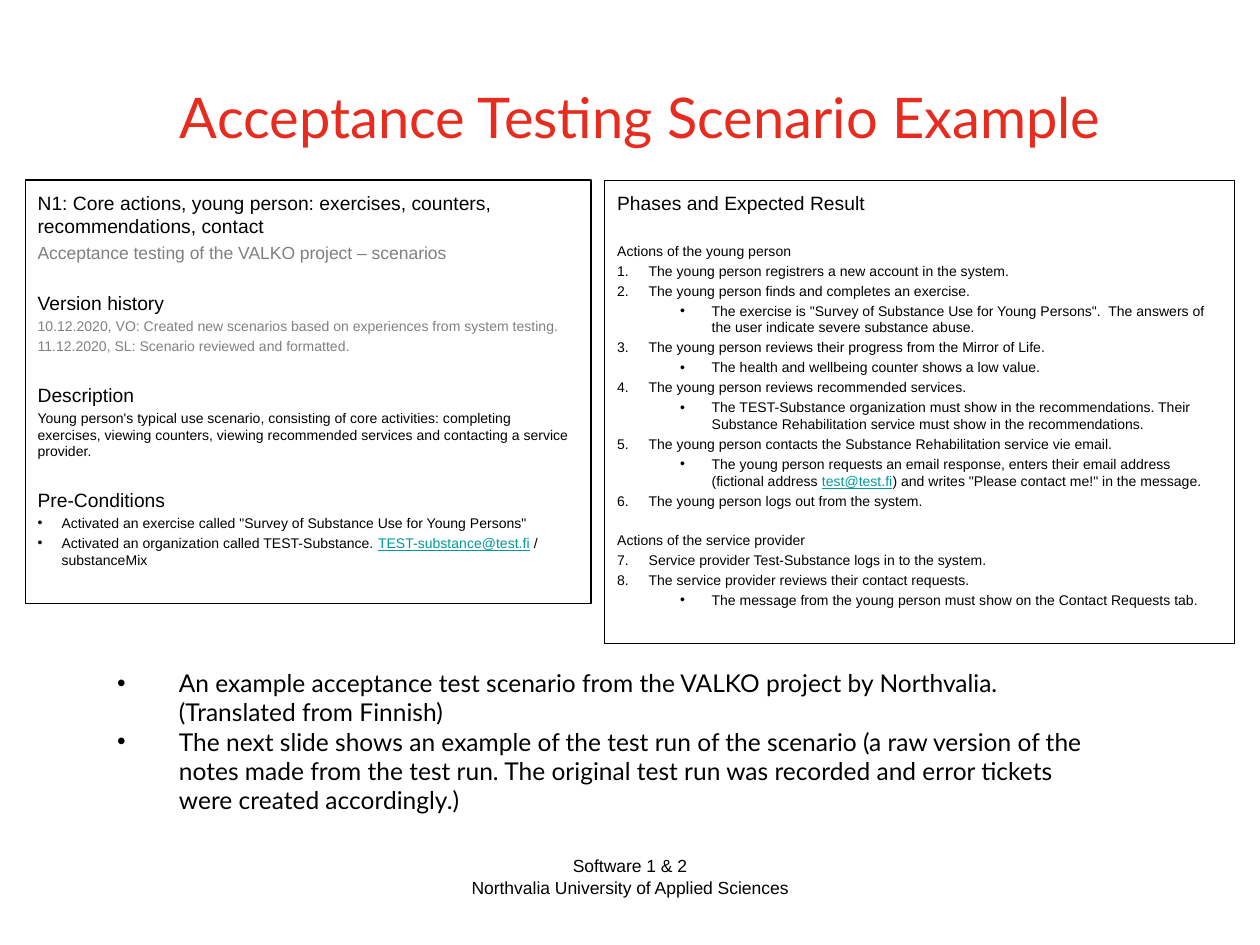
import dataclasses
import typing

import pptx
import pptx.dml.color
import pptx.enum.shapes
import pptx.enum.text
import pptx.oxml.ns
import pptx.util
from lxml import etree

Inches = pptx.util.Inches
Pt = pptx.util.Pt
RGB = pptx.dml.color.RGBColor.from_string
ALIGN = pptx.enum.text.PP_ALIGN
ANCHOR = pptx.enum.text.MSO_ANCHOR
Box = tuple[float, float, float, float]


@dataclasses.dataclass(frozen=True)
class Theme:
    red: str = "E72B1E"
    ink: str = "000000"
    gray: str = "808080"
    teal: str = "009999"
    paper: str = "FFFFFF"
    sans: str = "Arial"
    lato: str = "Lato"
    title: int = 32
    list: int = 14
    head: int = 11
    sub: int = 10
    text: int = 8
    lead: float = 0.23  # space before, as a share of the type size


LOOK = Theme()


@dataclasses.dataclass(frozen=True)
class Style:
    size: int
    color: str = LOOK.ink
    font: str = LOOK.sans
    left: float = 0
    hang: float = 0
    mark: str = ""  # a bullet sign, or "#" for numbers
    lead: float = LOOK.lead
    level: int = 0
    align: typing.Any = ALIGN.LEFT


@dataclasses.dataclass(frozen=True)
class Line:
    text: str  # parts between bars are shown as links
    style: Style
    gap: float = 0  # extra points above
    start: int = 1


TITLE = Style(LOOK.title, LOOK.red, LOOK.lato, lead=0, align=ALIGN.CENTER)
LIST = Style(LOOK.list, font=LOOK.lato, left=0.49, hang=0.49, mark="•", lead=0)
FOOT = Style(LOOK.sub, lead=0, align=ALIGN.CENTER)
HEAD = Style(LOOK.head)
SUB = Style(LOOK.sub, LOOK.gray)
NOTE = Style(LOOK.text, LOOK.gray)
TEXT = Style(LOOK.text)
DOT = Style(LOOK.text, left=0.19, hang=0.19, mark="•")
STEP = Style(LOOK.text, left=0.25, hang=0.25, mark="#")
CHECK = Style(LOOK.text, left=0.75, hang=0.25, mark="•", level=1)
WIDE, SLIM = 13.8, 11.1


def apply(item: typing.Any, values: dict[str, typing.Any]) -> None:
    for key, value in values.items():
        setattr(item, key, value)


def add_mark(props: typing.Any, line: Line) -> None:
    def add(tag: str, **attrs: str) -> None:
        etree.SubElement(props, pptx.oxml.ns.qn(tag), **attrs)

    if line.style.mark == "#":
        add("a:buFont", typeface=LOOK.sans)
        add("a:buAutoNum", type="arabicPeriod", startAt=str(line.start))
    elif line.style.mark:
        add("a:buFont", typeface=LOOK.sans)
        add("a:buChar", char=line.style.mark)
    else:
        add("a:buNone")


def write(frame: typing.Any, lines: list[Line], anchor: typing.Any, foot: float = 0.05) -> None:
    apply(frame, dict(word_wrap=True, auto_size=pptx.enum.text.MSO_AUTO_SIZE.NONE,
                      vertical_anchor=anchor, margin_left=Inches(0.1),
                      margin_right=Inches(0.1), margin_top=Inches(0.05),
                      margin_bottom=Inches(foot)))
    for i, line in enumerate(lines):
        style = line.style
        para = frame.add_paragraph() if i else frame.paragraphs[0]
        apply(para, dict(alignment=style.align, level=style.level,
                         space_before=Pt(style.size * style.lead + line.gap)))
        props = para._p.get_or_add_pPr()
        props.set("marL", str(Inches(style.left)))
        props.set("indent", str(-Inches(style.hang)))
        add_mark(props, line)
        for j, part in enumerate(line.text.split("|")):
            run = para.add_run()
            run.text = part
            link = j % 2 == 1
            apply(run.font, dict(name=style.font, size=Pt(style.size), underline=link))
            run.font.color.rgb = RGB(LOOK.teal if link else style.color)


def place(shape: typing.Any, box: Box) -> None:
    apply(shape, dict(zip(("left", "top", "width", "height"), map(Inches, box))))


def add_card(slide: typing.Any, box: Box, lines: list[Line]) -> None:
    card = slide.shapes.add_shape(pptx.enum.shapes.MSO_SHAPE.RECTANGLE, *map(Inches, box))
    card.shadow.inherit = False
    card.fill.solid()
    card.fill.fore_color.rgb = RGB(LOOK.paper)
    card.line.color.rgb = RGB(LOOK.ink)
    card.line.width = Pt(0.75)
    write(card.text_frame, lines, ANCHOR.MIDDLE, foot=0.24)


deck = pptx.Presentation()
apply(deck, dict(slide_width=Inches(10), slide_height=Inches(7.5)))
slide = deck.slides.add_slide(deck.slide_layouts[1])

# Title and list
title, body = slide.shapes.title, slide.placeholders[1]
place(title, (0.67, 0.3, 8.83, 1.25))
write(title.text_frame, [Line("Acceptance Testing Scenario Example", TITLE)], ANCHOR.MIDDLE)
place(body, (0.83, 5.25, 7.88, 1.28))
write(body.text_frame, [
    Line("An example acceptance test scenario from the VALKO project by Northvalia.  "
         "(Translated from Finnish)", LIST),
    Line("The next slide shows an example of the test run of the scenario (a raw version "
         "of the notes made from the test run. The original test run was recorded and "
         "error tickets were created accordingly.)", LIST),
], ANCHOR.TOP)

# Footer
foot = slide.shapes.add_textbox(*map(Inches, (3.03, 6.74, 3.94, 0.61)))
write(foot.text_frame, [
    Line("Software 1 & 2", FOOT),
    Line("Northvalia University of Applied Sciences", FOOT),
], ANCHOR.TOP)

# Phases card
add_card(slide, (4.8, 1.43, 5, 3.68), [
    Line("Phases and Expected Result", HEAD),
    Line("Actions of the young person", TEXT, WIDE),
    Line("The young person registrers a new account in the system.", STEP),
    Line("The young person finds and completes an exercise.", STEP),
    Line('The exercise is "Survey of Substance Use for Young Persons".  The answers of '
         "the user indicate severe substance abuse.", CHECK),
    Line("The young person reviews their progress from the Mirror of Life.", STEP),
    Line("The health and wellbeing counter shows a low value.", CHECK),
    Line("The young person reviews recommended services.", STEP),
    Line("The TEST-Substance organization must show in the recommendations. Their "
         "Substance Rehabilitation service must show in the recommendations.", CHECK),
    Line("The young person contacts the Substance Rehabilitation service vie email.", STEP),
    Line("The young person requests an email response, enters their email address "
         '(fictional address |test@test.fi|) and writes "Please contact me!" in the '
         "message.", CHECK),
    Line("The young person logs out from the system.", STEP),
    Line("Actions of the service provider", TEXT, SLIM),
    Line("Service provider Test-Substance logs in to the system.", STEP, start=7),
    Line("The service provider reviews their contact requests.", STEP, start=7),
    Line("The message from the young person must show on the Contact Requests tab.", CHECK),
])

# Scenario card
add_card(slide, (0.2, 1.43, 4.49, 3.36), [
    Line("N1: Core actions, young person: exercises, counters, recommendations, contact", HEAD),
    Line("Acceptance testing of the VALKO project – scenarios", SUB),
    Line("Version history", HEAD, WIDE),
    Line("10.12.2020, VO: Created new scenarios based on experiences from system testing.", NOTE),
    Line("11.12.2020, SL: Scenario reviewed and formatted.", NOTE),
    Line("Description", HEAD, WIDE),
    Line("Young person's typical use scenario, consisting of core activities: completing "
         "exercises, viewing counters, viewing recommended services and contacting a "
         "service provider.", TEXT),
    Line("Pre-Conditions", HEAD, WIDE),
    Line('Activated an exercise called "Survey of Substance Use for Young Persons"', DOT),
    Line("Activated an organization called TEST-Substance. |TEST-substance@test.fi| / "
         "substanceMix", DOT),
])

deck.save("out.pptx")
